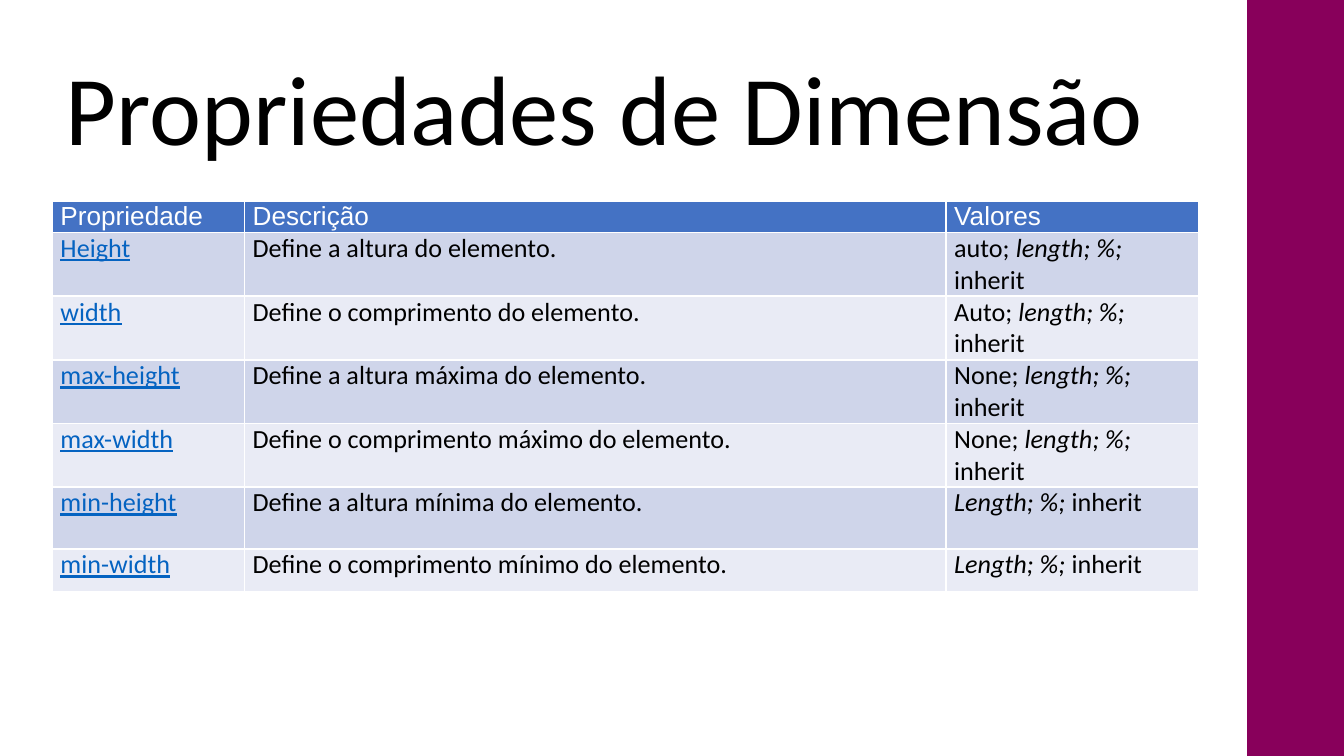
from pptx import Presentation
from pptx.dml.color import RGBColor
from pptx.enum.shapes import MSO_SHAPE
from pptx.enum.text import MSO_ANCHOR, MSO_AUTO_SIZE, PP_ALIGN
from pptx.util import Inches, Pt

RECT = MSO_SHAPE.RECTANGLE
MIDDLE = MSO_ANCHOR.MIDDLE
NO_FIT = MSO_AUTO_SIZE.NONE
LEFT = PP_ALIGN.LEFT

PURPLE = RGBColor(0x88, 0x00, 0x5B)
BLUE = RGBColor(0x44, 0x72, 0xC4)
LINK = RGBColor(0x05, 0x63, 0xC1)
BAND_DARK = RGBColor(0xCF, 0xD5, 0xEA)
BAND_LIGHT = RGBColor(0xE9, 0xEB, 0xF5)
WHITE = RGBColor(0xFF, 0xFF, 0xFF)
BLACK = RGBColor(0x00, 0x00, 0x00)

HEADERS = ["Propriedade", "Descrição", "Valores"]
# Property, what it defines, leading keyword, italic values
PROPERTIES = [
    ("Height", "a altura", "auto; ", "length; %; "),
    ("width", "o comprimento", "Auto; ", "length; %; "),
    ("max-height", "a altura máxima", "None; ", "length; %; "),
    ("max-width", "o comprimento máximo", "None; ", "length; %; "),
    ("min-height", "a altura mínima", "", "Length; %; "),
    ("min-width", "o comprimento mínimo", "", "Length; %; "),
]
COL_WIDTHS = [1.43, 5.22, 1.88]
ROW_HEIGHTS = [0.23, 0.45, 0.46, 0.46, 0.46, 0.46, 0.32]


def add_text(p, text, size=14, font="Calibri", color=BLACK, italic=False,
             underline=False):
    """Append a formatted run to a paragraph."""
    r = p.add_run()
    r.text = text
    f = r.font
    f.size, f.name, f.bold = Pt(size), font, False
    f.italic, f.underline = italic, underline
    f.color.rgb = color


class SlideBuilder:
    """Holds the current slide and its shared style."""

    def __init__(self, slide, left, width):
        """Keep the slide and the content column."""
        self.slide = slide
        self.left, self.width = Inches(left), Inches(width)

    def side_band(self, left, width, height, color):
        """Add a plain coloured band from the top of the slide."""
        sp = self.slide.shapes.add_shape(
            RECT, Inches(left), 0, Inches(width), height)
        sp.shadow.inherit = False
        sp.fill.solid()
        sp.fill.fore_color.rgb = color
        sp.line.fill.background()

    def title(self, text, top, height):
        """Place and fill the title placeholder."""
        sp = self.slide.shapes.title
        sp.left, sp.top = self.left, Inches(top)
        sp.width, sp.height = self.width, Inches(height)
        tf = sp.text_frame
        tf.word_wrap, tf.auto_size = True, NO_FIT
        tf.vertical_anchor = MIDDLE
        p = tf.paragraphs[0]
        p.alignment, p.line_spacing = LEFT, 0.9
        add_text(p, text, size=52.8)

    def table(self, top, col_widths, row_heights):
        """Add an empty table with the given grid."""
        tbl = self.slide.shapes.add_table(
            len(row_heights), len(col_widths), self.left, Inches(top),
            self.width, Inches(sum(row_heights))).table
        for col, width in zip(tbl.columns, col_widths):
            col.width = Inches(width)
        for row, height in zip(tbl.rows, row_heights):
            row.height = Inches(height)
        return tbl

    def cell(self, cell, fill, runs):
        """Style a cell and write its (text, format) runs."""
        cell.margin_left = cell.margin_right = Inches(0.06)
        cell.margin_top = cell.margin_bottom = 0
        cell.fill.solid()
        cell.fill.fore_color.rgb = fill
        p = cell.text_frame.paragraphs[0]
        for text, fmt in runs:
            add_text(p, text, **fmt)


def main():
    """Build the slide and save it."""
    prs = Presentation()
    prs.slide_width = Inches(10)
    prs.slide_height = prs.slide_width * 9 // 16
    s = SlideBuilder(prs.slides.add_slide(prs.slide_layouts[5]), 0.39, 8.53)
    s.side_band(9.28, 0.72, prs.slide_height, PURPLE)
    s.title("Propriedades de Dimensão", 0.3, 1.09)

    tbl = s.table(1.5, COL_WIDTHS, ROW_HEIGHTS)
    for c, text in enumerate(HEADERS):
        s.cell(tbl.cell(0, c), BLUE,
               [(text, {"font": "Arial", "color": WHITE})])
    for r, (name, what, keyword, values) in enumerate(PROPERTIES, 1):
        fill = BAND_DARK if r % 2 else BAND_LIGHT
        value_runs = [(values, {"italic": True}), ("inherit", {})]
        if keyword:
            value_runs.insert(0, (keyword, {}))
        columns = [
            [(name, {"color": LINK, "underline": True})],
            [(f"Define {what} do elemento.", {})],
            value_runs,
        ]
        for c, runs in enumerate(columns):
            s.cell(tbl.cell(r, c), fill, runs)
    prs.save("out.pptx")


main()
